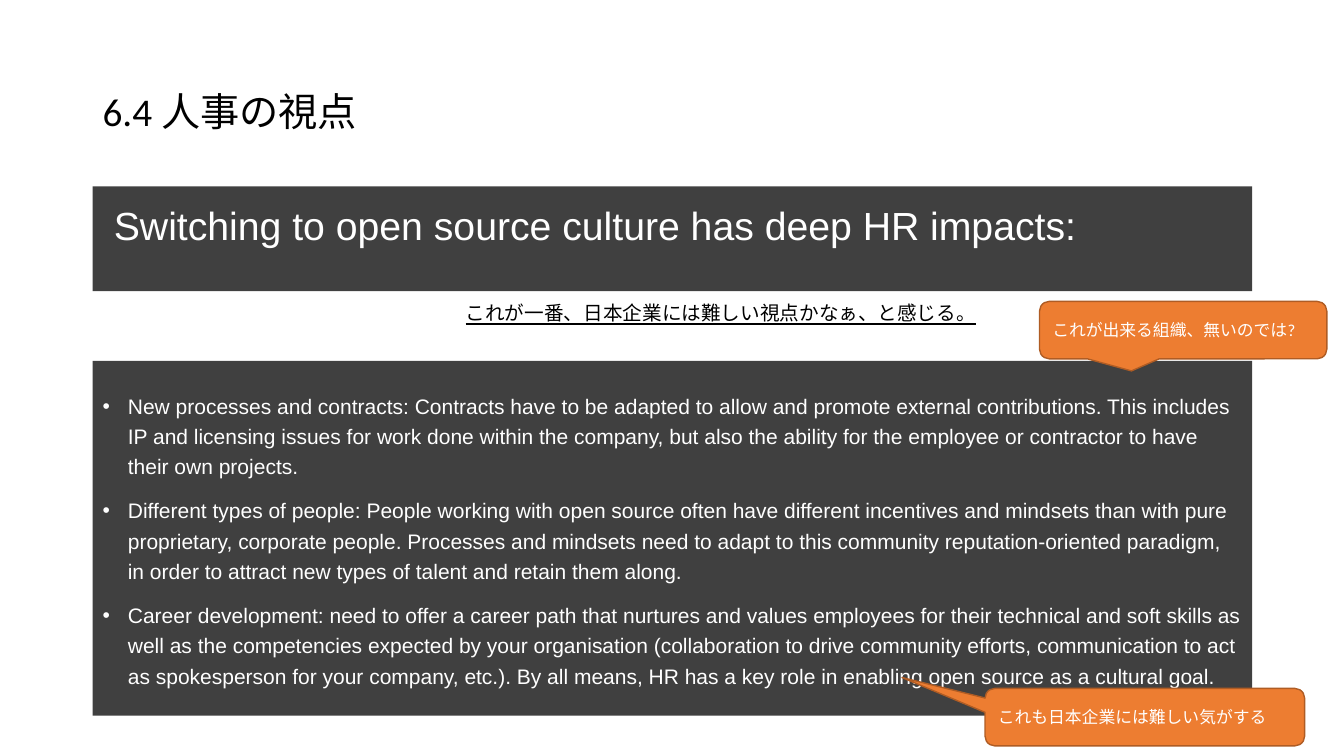
from lxml import etree
from pptx import Presentation
from pptx.dml.color import RGBColor
from pptx.enum import shapes, text
from pptx.oxml.ns import qn
from pptx.util import Inches, Pt

COLORS = {"ink": "000000", "paper": "FFFFFF", "panel": "404040",
          "callout": "ED7D31", "callout_edge": "AF5C24"}
WIDTH, HEIGHT = 13.33, 7.5
LEFT, CONTENT = 0.92, 11.5
HR_IMPACTS = [
    "New processes and contracts: Contracts have to be adapted to allow and promote external "
    "contributions. This includes IP and licensing issues for work done within the company, but "
    "also the ability for the employee or contractor to have their own projects.",
    "Different types of people: People working with open source often have different incentives "
    "and mindsets than with pure proprietary, corporate people. Processes and mindsets need to "
    "adapt to this community reputation-oriented paradigm, in order to attract new types of "
    "talent and retain them along.",
    "Career development: need to offer a career path that nurtures and values employees for their "
    "technical and soft skills as well as the competencies expected by your organisation "
    "(collaboration to drive community efforts, communication to act as spokesperson for your "
    "company, etc.). By all means, HR has a key role in enabling open source as a cultural goal.",
]


def rgb(name):
    """Return the named palette colour."""
    return RGBColor.from_string(COLORS[name])


def set_all(target, values):
    """Set every attribute in a dict of format values."""
    for key, value in values.items():
        setattr(target, key, value)


def add_bullet(paragraph):
    """Give a paragraph a hanging round bullet."""
    properties = paragraph._p.get_or_add_pPr()
    for key, value in {"marL": Inches(0.25), "indent": -Inches(0.25)}.items():
        properties.set(key, str(value))
    etree.SubElement(properties, qn("a:buFont")).set("typeface", "Arial")
    etree.SubElement(properties, qn("a:buChar")).set("char", "•")


def write(holder, lines, font, color, frame=None, layout=None, bullets=False):
    """Write paragraphs into a shape with shared formatting."""
    body = holder.text_frame
    set_all(body, {"word_wrap": True, **(frame or {})})
    for index, line in enumerate(lines):
        paragraph = body.add_paragraph() if index else body.paragraphs[0]
        paragraph.text = line
        if bullets:
            add_bullet(paragraph)
        set_all(paragraph, {"alignment": text.PP_ALIGN.LEFT, **(layout or {})})
        if index:
            paragraph.space_before = Pt(10)
        set_all(paragraph.font, font)
        paragraph.font.color.rgb = rgb(color)


def add_block(slide, kind, box, fill):
    """Add a filled shape without shadow or outline."""
    block = slide.shapes.add_shape(kind, *map(Inches, box))
    block.shadow.inherit = False
    block.fill.solid()
    block.fill.fore_color.rgb = rgb(fill)
    block.line.fill.background()
    return block


def add_title(slide, box):
    """Place the section title in its box."""
    title = slide.shapes.add_textbox(*map(Inches, box))
    write(title, ["6.4 人事の視点"], {"size": Pt(28), "name": "Calibri"}, "ink",
          {"vertical_anchor": text.MSO_ANCHOR.MIDDLE}, {"line_spacing": 0.9})


def add_panel(slide, box, lines, size, frame, bullets=False):
    """Place a dark panel of white text in its box."""
    panel = add_block(slide, shapes.MSO_SHAPE.RECTANGLE, box, "panel")
    write(panel, lines, {"size": Pt(size), "name": "Arial"}, "paper",
          frame, {"line_spacing": 1.2}, bullets)


def add_remark(slide, box):
    """Place the underlined remark between the panels."""
    remark = slide.shapes.add_textbox(*map(Inches, box))
    write(remark, ["これが一番、日本企業には難しい視点かなぁ、と感じる。"],
          {"size": Pt(14), "name": "Calibri", "underline": True}, "ink")


def add_callout(slide, box, comment, tip):
    """Place an orange comment whose tip is given in shares of its box."""
    callout = add_block(slide, shapes.MSO_SHAPE.ROUNDED_RECTANGULAR_CALLOUT, box, "callout")
    callout.line.color.rgb = rgb("callout_edge")
    callout.line.width = Pt(1)
    for index, share in enumerate((*tip, 0.17)):
        callout.adjustments[index] = share
    write(callout, [comment], {"size": Pt(12), "name": "Calibri"}, "paper",
          {"vertical_anchor": text.MSO_ANCHOR.MIDDLE})


def build_hr_slide(deck):
    """Build the slide on the human resources perspective."""
    slide = deck.slides.add_slide(deck.slide_layouts[6])
    add_title(slide, (LEFT, 0.4, CONTENT, 1.45))
    add_panel(slide, (LEFT, 1.85, CONTENT, 1.04),
              ["Switching to open source culture has deep HR impacts:"], 28,
              {"vertical_anchor": text.MSO_ANCHOR.TOP, "margin_left": Inches(0.21)})
    add_remark(slide, (4.52, 2.94, 7.39, 0.34))
    add_panel(slide, (LEFT, 3.58, CONTENT, 3.52), HR_IMPACTS, 15,
              {"vertical_anchor": text.MSO_ANCHOR.MIDDLE}, bullets=True)
    add_callout(slide, (10.31, 2.99, 2.85, 0.57), "これが出来る組織、無いのでは?", (-0.18, 0.71))
    add_callout(slide, (9.77, 6.83, 3.17, 0.57), "これも日本企業には難しい気がする", (-0.76, -0.69))


def main():
    """Create and save the deck."""
    deck = Presentation()
    set_all(deck, {"slide_width": Inches(WIDTH), "slide_height": Inches(HEIGHT)})
    build_hr_slide(deck)
    deck.save("out.pptx")


if __name__ == "__main__":
    main()
